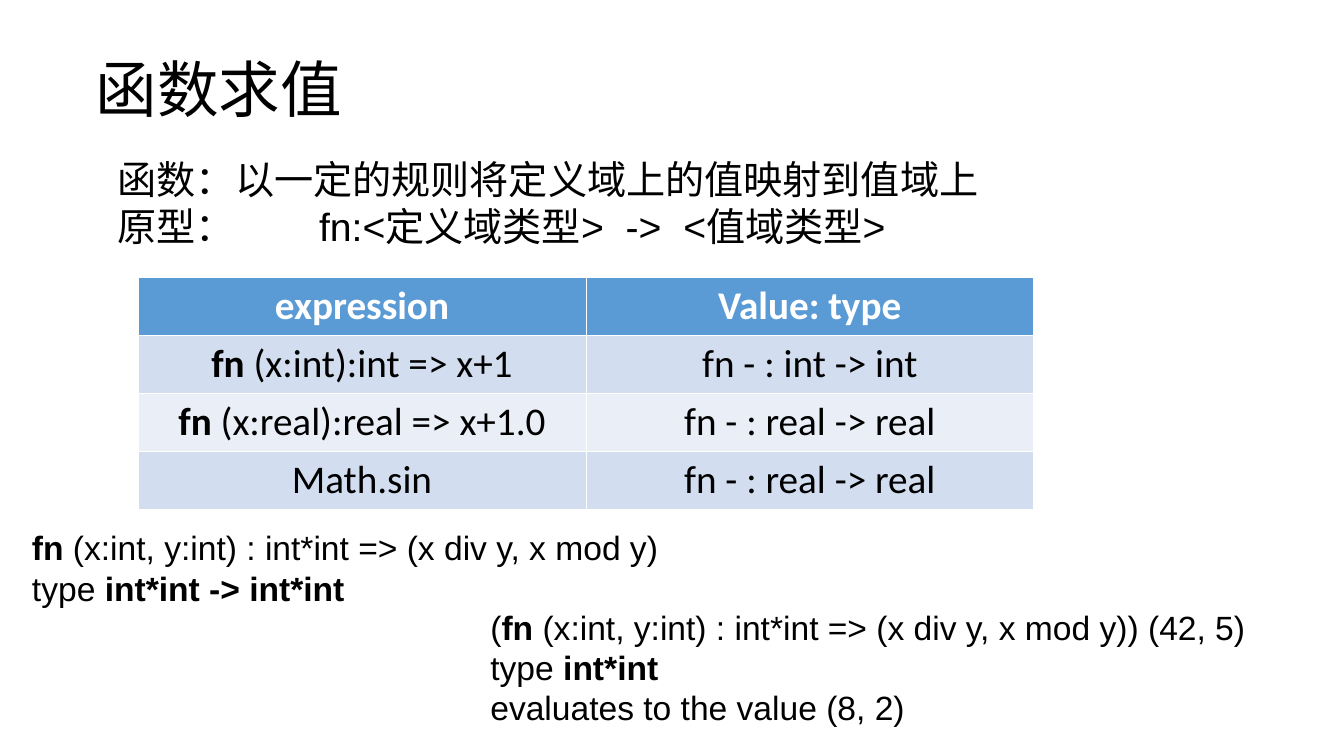
from lxml import etree
from pptx import Presentation, util as u
from pptx.dml.color import RGBColor
from pptx.enum import text
from pptx.oxml.ns import qn

COLORS = {"ink": "000000", "paper": "FFFFFF", "header": "5B9BD5",
          "band_dark": "D2DEEF", "band_light": "EAEFF7"}
CJK_FONT = "Noto Sans CJK SC"
SLIDE_SIZE = (960.48, 540)

# A line is a list of (text, bold) runs.
TITLE = [[("函数求值", False)]]
DEFINITION = [
    [("函数：以一定的规则将定义域上的值映射到值域上", False)],
    [("原型：\tfn:<定义域类型>  ->  <值域类型>", False)],
]
DIVISION = [
    [("fn ", True), ("(x:int, y:int) : int*int => (x div y, x mod y)", False)],
    [("type ", False), ("int*int -> int*int", True)],
]
APPLICATION = [
    [("(", False), ("fn ", True),
     ("(x:int, y:int) : int*int => (x div y, x mod y)) (42, 5)", False)],
    [("type ", False), ("int*int", True)],
    [("evaluates to the value (8, 2)", False)],
]
# lines, (left, top, width, height), font, size, line spacing, anchor
TEXT_BOXES = [
    (TITLE, (61.2, 13.7, 828, 104.4), CJK_FONT, 44, 0.9, text.MSO_ANCHOR.MIDDLE),
    (DEFINITION, (77, 107.3, 759.6, 74.9), "Arial", 28, None, text.MSO_ANCHOR.TOP),
    (DIVISION, (15.8, 373, 480.2, 64.8), "Arial", 24, None, text.MSO_ANCHOR.TOP),
    (APPLICATION, (343.4, 429.8, 602.6, 93.6), "Arial", 24, None, text.MSO_ANCHOR.TOP),
]
TABLE_ROWS = [
    ([("expression", True)], [("Value: type", True)]),
    ([("fn ", True), ("(x:int):int => x+1", False)], [("fn - : int -> int", False)]),
    ([("fn ", True), ("(x:real):real => x+1.0", False)], [("fn - : real -> real", False)]),
    ([("Math.sin", False)], [("fn - : real -> real", False)]),
]
TABLE_LEFT, TABLE_TOP = 98.7, 198.2
COLUMN_WIDTH, ROW_HEIGHT = 320, 41
TAB_STOP = 144
THIN, THICK = 0.45, 1.47


def rgb(name):
    return RGBColor.from_string(COLORS[name])


def add_runs(paragraph, runs, font_name, size, color):
    for words, bold in runs:
        run = paragraph.add_run()
        run.text = words
        run.font.size = u.Pt(size)
        run.font.bold = bold
        run.font.name = font_name
        run.font.color.rgb = rgb(color)
        east_asian = etree.SubElement(run._r.get_or_add_rPr(), qn("a:ea"))
        east_asian.set("typeface", CJK_FONT)


def add_tab_stop(paragraph):
    tab_list = etree.SubElement(paragraph._p.get_or_add_pPr(), qn("a:tabLst"))
    etree.SubElement(tab_list, qn("a:tab"), pos=str(u.Pt(TAB_STOP)), algn="l")


def add_text_box(slide, lines, box, font_name, size, spacing, anchor):
    frame = slide.shapes.add_textbox(*map(u.Pt, box)).text_frame
    frame.word_wrap = True
    frame.vertical_anchor = anchor
    for index, runs in enumerate(lines):
        paragraph = frame.add_paragraph() if index else frame.paragraphs[0]
        if spacing:
            paragraph.line_spacing = spacing
        if any("\t" in words for words, _ in runs):
            add_tab_stop(paragraph)
        add_runs(paragraph, runs, font_name, size, "ink")


def add_borders(cell, row):
    """Draw white cell edges, thicker between the header and the body."""
    widths = {"L": THIN, "R": THIN,
              "T": THICK if row == 1 else THIN,
              "B": THICK if row == 0 else THIN}
    properties = cell._tc.get_or_add_tcPr()
    for side, width in widths.items():
        line = etree.SubElement(properties, qn(f"a:ln{side}"), w=str(u.Pt(width)))
        fill = etree.SubElement(line, qn("a:solidFill"))
        etree.SubElement(fill, qn("a:srgbClr"), val=COLORS["paper"])


def add_expression_table(slide):
    rows, columns = len(TABLE_ROWS), len(TABLE_ROWS[0])
    table = slide.shapes.add_table(
        rows, columns, u.Pt(TABLE_LEFT), u.Pt(TABLE_TOP),
        u.Pt(columns * COLUMN_WIDTH), u.Pt(rows * ROW_HEIGHT)).table
    for row, contents in enumerate(TABLE_ROWS):
        table.rows[row].height = u.Pt(ROW_HEIGHT)
        band = "header" if row == 0 else "band_dark" if row % 2 else "band_light"
        for column, runs in enumerate(contents):
            cell = table.cell(row, column)
            add_borders(cell, row)
            cell.fill.solid()
            cell.fill.fore_color.rgb = rgb(band)
            paragraph = cell.text_frame.paragraphs[0]
            paragraph.alignment = text.PP_ALIGN.CENTER
            add_runs(paragraph, runs, "Calibri", 28, "ink" if row else "paper")


def main():
    presentation = Presentation()
    presentation.slide_width, presentation.slide_height = map(u.Pt, SLIDE_SIZE)
    slide = presentation.slides.add_slide(presentation.slide_layouts[6])
    add_expression_table(slide)
    for text_box in TEXT_BOXES:
        add_text_box(slide, *text_box)
    presentation.save("out.pptx")


if __name__ == "__main__":
    main()
